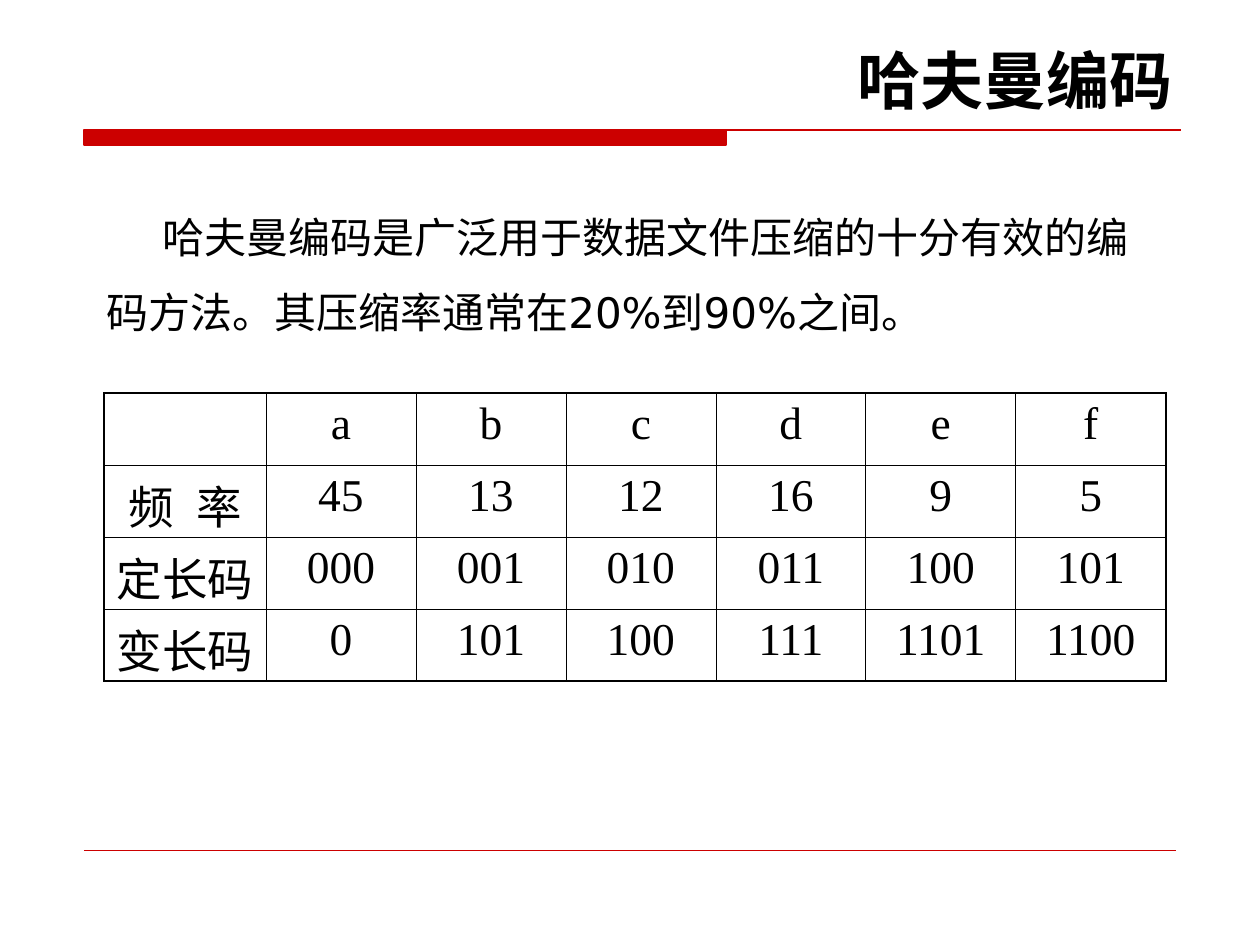
from dataclasses import dataclass

from lxml.etree import SubElement
from pptx import Presentation
from pptx.dml.color import RGBColor
from pptx.enum.shapes import MSO_CONNECTOR as Connector
from pptx.enum.text import MSO_ANCHOR as Anchor, PP_ALIGN as Align
from pptx.oxml.ns import qn
from pptx.util import Emu, Pt

EMU_PER_PX = 914400 / 126
COLORS = {"ink": "000000", "accent": "CC0000"}
SANS, LATIN, LABEL = "DejaVu Sans", "Times New Roman", "Arial"
THIN, THICK = 0.45, 1.08
COLUMN_WIDTHS = [162] + [150] * 6
ROW_HEIGHT = 72
CODE_ROWS = [
    ["", "a", "b", "c", "d", "e", "f"],
    ["频 率", "45", "13", "12", "16", "9", "5"],
    ["定长码", "000", "001", "010", "011", "100", "101"],
    ["变长码", "0", "101", "100", "111", "1101", "1100"],
]


@dataclass(frozen=True)
class TextBlock:
    """A text box with one paragraph, placed in px."""

    text: str
    left: int
    top: int
    width: int
    height: int
    size: int
    bold: bool = False
    align: Align = Align.LEFT
    line_spacing: float = 1.0
    first_indent: int = 0


TEXT_BLOCKS = [
    TextBlock("哈夫曼编码", 64, 35, 1121, 88, 36, bold=True, align=Align.RIGHT),
    TextBlock(
        "哈夫曼编码是广泛用于数据文件压缩的十分有效的编码方法。其压缩率通常在20%到90%之间。",
        94, 180, 1072, 164, 24, line_spacing=1.5, first_indent=56,
    ),
]


def px(value: int) -> Emu:
    """Turn px into EMU."""
    return Emu(round(value * EMU_PER_PX))


def color(name: str) -> RGBColor:
    """Look up a palette colour."""
    return RGBColor.from_string(COLORS[name])


def add_run(paragraph, text: str, font_name: str, size: int, bold: bool = False):
    """Append a styled run to a paragraph."""
    run = paragraph.add_run()
    run.text = text
    run.font.name = font_name
    run.font.size = Pt(size)
    run.font.bold = bold
    run.font.color.rgb = color("ink")
    return run


def draw_text(slide, block: TextBlock) -> None:
    """Draw one text block."""
    shape = slide.shapes.add_textbox(
        px(block.left), px(block.top), px(block.width), px(block.height)
    )
    frame = shape.text_frame
    frame.word_wrap = True
    frame.vertical_anchor = Anchor.TOP
    paragraph = frame.paragraphs[0]
    paragraph.alignment = block.align
    paragraph.line_spacing = block.line_spacing
    if block.first_indent:
        paragraph._p.get_or_add_pPr().set("indent", str(px(block.first_indent)))
    add_run(paragraph, block.text, SANS, block.size, block.bold)


def draw_title_rule(slide) -> None:
    """Draw the thick bar with its thin line to the right edge."""
    builder = slide.shapes.build_freeform(84, 130, scale=EMU_PER_PX)
    builder.add_line_segments([(726, 130), (726, 145), (84, 145)], close=True)
    builder.move_to(84, 130)
    builder.add_line_segments([(1181, 130)], close=False)
    shape = builder.convert_to_shape()
    shape.shadow.inherit = False
    shape.fill.solid()
    shape.fill.fore_color.rgb = color("accent")
    shape.line.color.rgb = color("accent")
    shape.line.width = Pt(0.75)


def draw_footer_rule(slide) -> None:
    """Draw the hairline above the footer."""
    line = slide.shapes.add_connector(
        Connector.STRAIGHT, px(84), px(850), px(1176), px(850)
    )
    line.line.color.rgb = color("accent")
    line.line.width = Pt(0.25)
    SubElement(line._element.spPr, qn("a:effectLst"))


def set_borders(cell, widths: dict[str, float]) -> None:
    """Set the cell borders, given in points by side."""
    properties = cell._tc.get_or_add_tcPr()
    for side, width in widths.items():
        border = SubElement(properties, qn(f"a:ln{side}"), w=str(Pt(width)))
        fill = SubElement(border, qn("a:solidFill"))
        SubElement(fill, qn("a:srgbClr"), val=COLORS["ink"])


def fill_cell(cell, text: str, font_name: str) -> None:
    """Write centred cell text, widening the gap between spaced words."""
    paragraph = cell.text_frame.paragraphs[0]
    paragraph.alignment = Align.CENTER
    for index, word in enumerate(text.split()):
        if index:
            gap = add_run(paragraph, " ", font_name, 26)
            gap._r.get_or_add_rPr().set("spc", "700")
        add_run(paragraph, word, font_name, 26)


def draw_code_table(slide) -> None:
    """Draw the table of frequencies and codes."""
    last_row, last_column = len(CODE_ROWS) - 1, len(COLUMN_WIDTHS) - 1
    table = slide.shapes.add_table(
        len(CODE_ROWS), len(COLUMN_WIDTHS), px(104), px(393),
        px(sum(COLUMN_WIDTHS)), px(ROW_HEIGHT * len(CODE_ROWS)),
    ).table
    table.first_row = table.horz_banding = False
    for column, width in zip(table.columns, COLUMN_WIDTHS):
        column.width = px(width)
    for row_index, values in enumerate(CODE_ROWS):
        table.rows[row_index].height = px(ROW_HEIGHT)
        for column_index, text in enumerate(values):
            cell = table.cell(row_index, column_index)
            set_borders(cell, {
                "L": THIN if column_index else THICK,
                "R": THICK if column_index == last_column else THIN,
                "T": THIN if row_index else THICK,
                "B": THICK if row_index == last_row else THIN,
            })
            cell.fill.background()
            fill_cell(cell, text, LATIN if column_index else LABEL)


def main() -> None:
    """Build and save the slide."""
    presentation = Presentation()
    presentation.slide_width, presentation.slide_height = px(1260), px(945)
    slide = presentation.slides.add_slide(presentation.slide_layouts[6])
    draw_title_rule(slide)
    draw_footer_rule(slide)
    title, body = TEXT_BLOCKS
    draw_text(slide, title)
    draw_code_table(slide)
    draw_text(slide, body)
    presentation.save("out.pptx")


if __name__ == "__main__":
    main()
